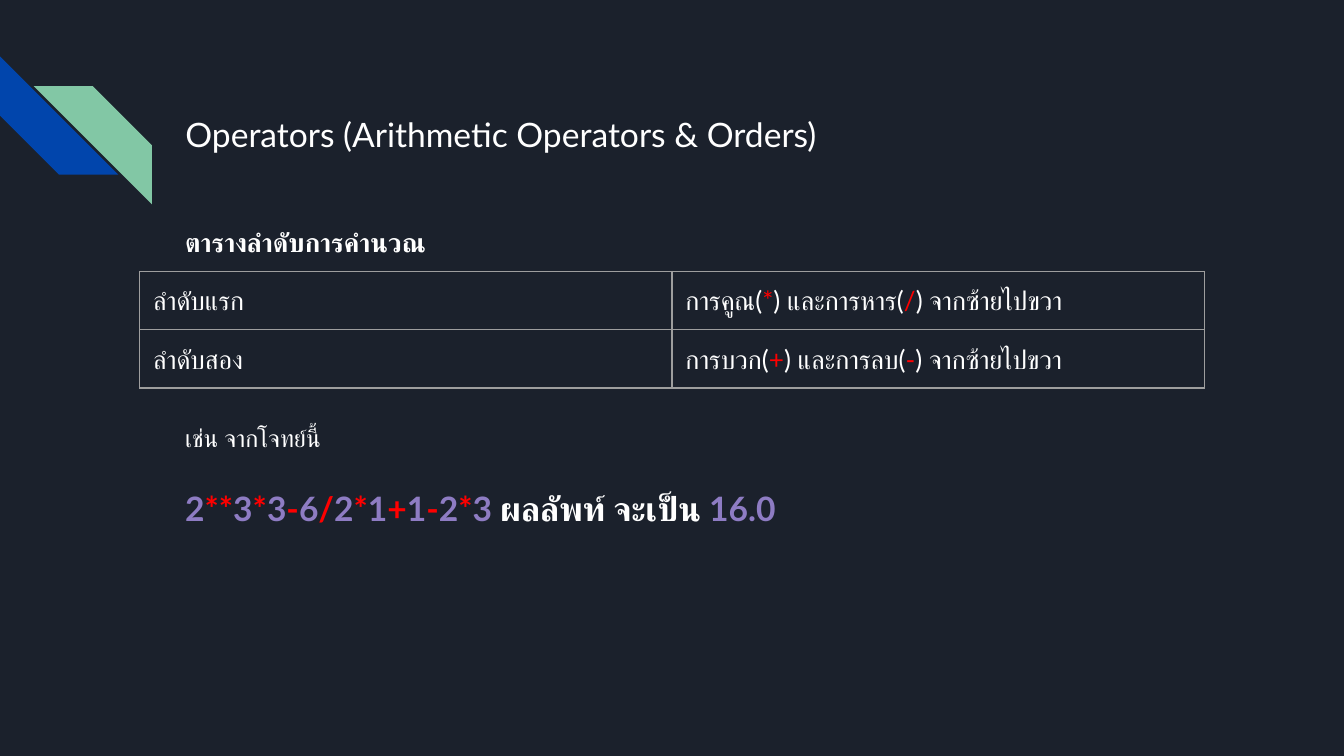
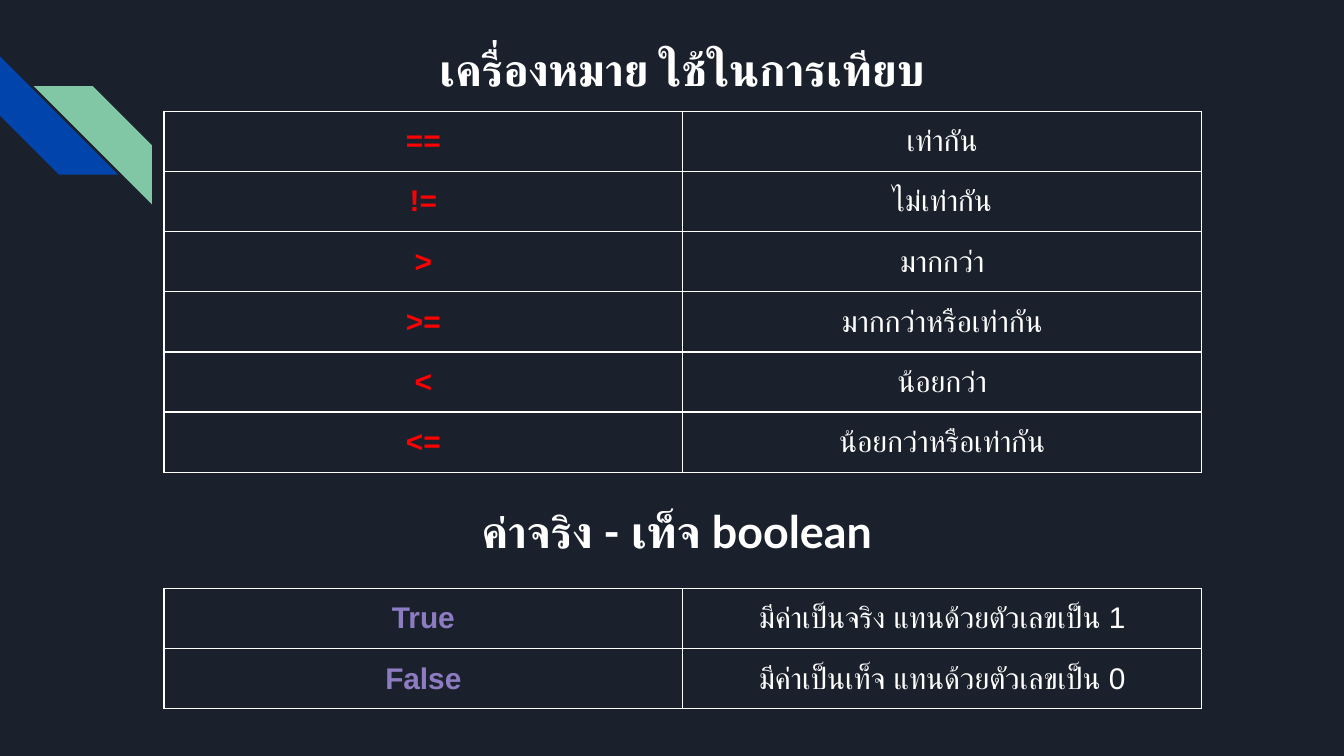
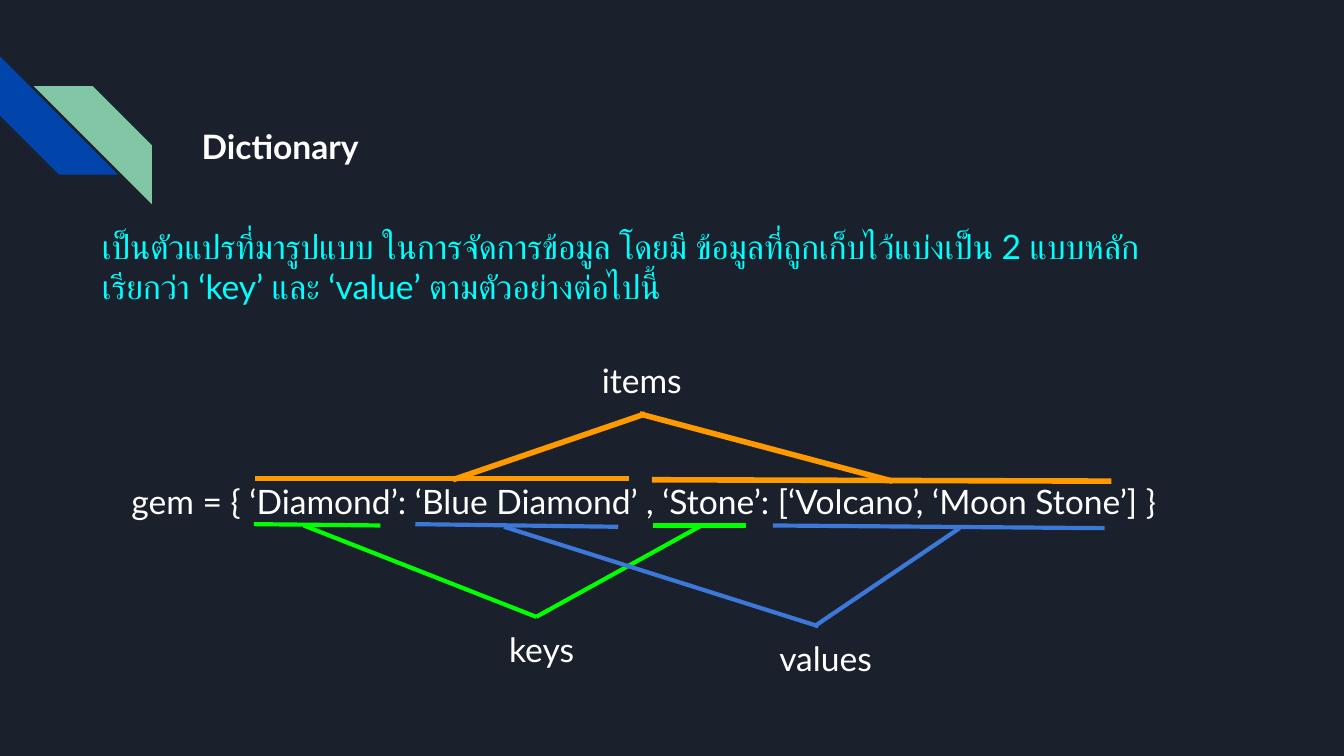
from itertools import groupby

from lxml import etree
from pptx import Presentation
from pptx.dml.color import RGBColor
from pptx.enum.shapes import MSO_CONNECTOR, MSO_SHAPE
from pptx.enum.text import MSO_ANCHOR, MSO_AUTO_SIZE, PP_ALIGN
from pptx.oxml.ns import qn
from pptx.util import Inches, Pt

LEFT, CENTER = PP_ALIGN.LEFT, PP_ALIGN.CENTER
TOP, MIDDLE = MSO_ANCHOR.TOP, MSO_ANCHOR.MIDDLE
STRAIGHT, STRIPE = MSO_CONNECTOR.STRAIGHT, MSO_SHAPE.DIAGONAL_STRIPE

NAVY, WHITE, GREY = "1B212C", "FFFFFF", "9E9E9E"
RED, PURPLE, CYAN = "FF0000", "8E7CC3", "00FFFF"
GREEN, BLUE, ORANGE = "00FF00", "3C78D8", "FF9900"

# Corner stripes: left, top, rotation, colour
STRIPES = [(0, 0.42, 270, "0145AC"), (0.25, 0.64, 90, "82C7A5")]
STRIPE_SIZE = 0.88

# Content: operator order
ORDER_TITLE = "Operators (Arithmetic Operators & Orders)"
ORDER_ROWS = [
    ("ลำดับแรก", "การคูณ(*) และการหาร(/) จากซ้ายไปขวา"),
    ("ลำดับสอง", "การบวก(+) และการลบ(-) จากซ้ายไปขวา"),
]
# text, top, format
ORDER_NOTES = [
    ("ตารางลำดับการคำนวณ", 1.55, {"size": 14, "bold": True}),
    ("เช่น จากโจทย์นี้", 3.01, {"size": 13}),
    ("2**3*3-6/2*1+1-2*3 ผลลัพท์ จะเป็น 16.0", 3.53, {"size": 18, "bold": True}),
]

# Content: comparison and boolean values
COMPARE_TITLE = "เครื่องหมาย ใช้ในการเทียบ"
COMPARE_ROWS = [
    ("==", "เท่ากัน"),
    ("!=", "ไม่เท่ากัน"),
    (">", "มากกว่า"),
    (">=", "มากกว่าหรือเท่ากัน"),
    ("<", "น้อยกว่า"),
    ("<=", "น้อยกว่าหรือเท่ากัน"),
]
BOOLEAN_TITLE = "ค่าจริง - เท็จ boolean"
BOOLEAN_ROWS = [
    ("True", "มีค่าเป็นจริง แทนด้วยตัวเลขเป็น 1"),
    ("False", "มีค่าเป็นเท็จ แทนด้วยตัวเลขเป็น 0"),
]

# Content: dictionary
DICT_TITLE = "Dictionary"
DICT_INTRO = [
    "เป็นตัวแปรที่มารูปแบบ ในการจัดการข้อมูล โดยมี ข้อมูลที่ถูกเก็บไว้แบ่งเป็น 2 แบบหลัก",
    "เรียกว่า ‘key’ และ ‘value’ ตามตัวอย่างต่อไปนี้",
]
DICT_CODE = "gem = { ‘Diamond’: ‘Blue Diamond’ , ‘Stone’: [‘Volcano’, ‘Moon Stone’] }"
# label, label box, colour, line width, lines (x1, y1, x2, y2)
DICT_PARTS = [
    ("keys", (3.69, 4.58, 0.84, 0.54), GREEN, 2.25, [
        (1.89, 3.9, 2.83, 3.91), (4.86, 3.91, 5.55, 3.91),
        (2.26, 3.91, 3.99, 4.59), (5.22, 3.91, 3.99, 4.59)]),
    ("values", (5.7, 4.65, 0.92, 0.5), BLUE, 2.25, [
        (3.09, 3.9, 4.6, 3.92), (5.75, 3.91, 8.22, 3.93),
        (3.75, 3.92, 6.09, 4.66), (7.14, 3.93, 6.06, 4.66)]),
    ("items", (4.38, 2.58, 0.84, 0.54), ORANGE, 3, [
        (1.9, 3.56, 4.68, 3.56), (4.85, 3.57, 8.27, 3.58),
        (3.37, 3.57, 4.8, 3.08), (4.76, 3.08, 6.64, 3.58)]),
]


def rgb(value):
    return RGBColor.from_string(value)


def math_color(char):
    if char in "*/+-":
        return RED
    return PURPLE if char in "0123456789." else WHITE


def math_runs(text):
    return [("".join(chars), color) for color, chars in groupby(text, math_color)]


def write(tf, lines, size=18, bold=False, font="Lato", align=LEFT):
    """Write lines, each a list of (text, colour) runs."""
    for i, runs in enumerate(lines):
        p = tf.paragraphs[0] if i == 0 else tf.add_paragraph()
        p.alignment = align
        for text, color in runs:
            r = p.add_run()
            r.text = text
            r.font.color.rgb = rgb(color)
            for name, value in {"size": Pt(size), "bold": bold, "name": font}.items():
                setattr(r.font, name, value)
            # Thai text takes the complex-script font
            etree.SubElement(r.font._element, qn("a:cs"), typeface=font)


def set_frame(tf, anchor):
    values = {"word_wrap": True, "auto_size": MSO_AUTO_SIZE.NONE, "vertical_anchor": anchor}
    for side in ("left", "top", "right", "bottom"):
        values["margin_" + side] = Inches(0.1)
    for name, value in values.items():
        setattr(tf, name, value)


def add_text(s, box, lines, anchor=TOP, **fmt):
    tf = s.shapes.add_textbox(*map(Inches, box)).text_frame
    set_frame(tf, anchor)
    write(tf, lines, **fmt)


def add_slide(prs, title, box, **fmt):
    s = prs.slides.add_slide(prs.slide_layouts[5])
    for left, top, rotation, color in STRIPES:
        sp = s.shapes.add_shape(STRIPE, *map(Inches, (left, top, STRIPE_SIZE, STRIPE_SIZE)))
        sp.rotation = rotation
        sp.shadow.inherit = False
        sp.fill.solid()
        sp.fill.fore_color.rgb = rgb(color)
        sp.line.fill.background()
    sp = s.shapes.title
    sp.left, sp.top, sp.width, sp.height = map(Inches, box)
    set_frame(sp.text_frame, TOP)
    write(sp.text_frame, [[(title, WHITE)]], **fmt)
    return s


def add_border(cell, color):
    tcPr = cell._tc.get_or_add_tcPr()
    for i, side in enumerate(("lnL", "lnR", "lnT", "lnB")):
        ln = etree.Element(qn("a:" + side), w=str(Pt(0.75)))
        fill = etree.SubElement(ln, qn("a:solidFill"))
        etree.SubElement(fill, qn("a:srgbClr"), val=color)
        tcPr.insert(i, ln)


def add_table(s, left, top, col_width, row_height, rows, border, formats):
    """Fill a two-column table; formats gives (runs function, text format) per column."""
    size = map(Inches, (left, top, 2 * col_width, row_height * len(rows)))
    table = s.shapes.add_table(len(rows), 2, *size).table
    table.first_row = table.horz_banding = False
    for y, row in enumerate(rows):
        for x, text in enumerate(row):
            cell = table.cell(y, x)
            for side in ("left", "top", "right", "bottom"):
                setattr(cell, "margin_" + side, Inches(0.1))
            cell.fill.background()
            add_border(cell, border)
            to_runs, fmt = formats[x]
            write(cell.text_frame, [to_runs(text)], **fmt)


def add_line(s, ends, color, width):
    c = s.shapes.add_connector(STRAIGHT, *map(Inches, ends))
    c.line.color.rgb = rgb(color)
    c.line.width = Pt(width)
    etree.SubElement(c.element.spPr, qn("a:effectLst"))


def order_slide(prs):
    s = add_slide(prs, ORDER_TITLE, (1.28, 0.75, 7.7, 0.61))
    for text, top, fmt in ORDER_NOTES:
        add_text(s, (1.28, top, 7.7, 0.5), [math_runs(text)], anchor=MIDDLE, **fmt)
    add_table(s, 1.04, 2.02, 3.96, 0.42, ORDER_ROWS, GREY, [(math_runs, {"size": 14})] * 2)


def compare_slide(prs):
    heading = {"size": 24, "bold": True, "align": CENTER}
    s = add_slide(prs, COMPARE_TITLE, (2.47, 0.21, 5.21, 0.5), **heading)
    add_text(s, (2.43, 3.65, 5.21, 0.5), [[(BOOLEAN_TITLE, WHITE)]], **heading)
    body = {"size": 16, "font": "Arial", "align": CENTER}
    for top, rows, color in ((0.83, COMPARE_ROWS, RED), (4.38, BOOLEAN_ROWS, PURPLE)):
        formats = [
            (lambda text, color=color: [(text, color)], {**body, "bold": True}),
            (lambda text: [(text, WHITE)], body),
        ]
        add_table(s, 1.22, top, 3.86, 0.43, rows, WHITE, formats)


def dictionary_slide(prs):
    s = add_slide(prs, DICT_TITLE, (1.4, 0.84, 7.7, 0.47), bold=True)
    for label, box, color, width, lines in DICT_PARTS:
        for ends in lines:
            add_line(s, ends, color, width)
        add_text(s, box, [[(label, WHITE)]])
    add_text(s, (0.88, 3.48, 8.31, 0.55), [[(DICT_CODE, WHITE)]])
    add_text(s, (0.66, 1.58, 8.81, 0.81), [[(line, CYAN)] for line in DICT_INTRO])


def main():
    prs = Presentation()
    # 16:9 page
    prs.slide_width, prs.slide_height = Inches(10), Inches(10 * 9 / 16)
    fill = prs.slide_master.background.fill
    fill.solid()
    fill.fore_color.rgb = rgb(NAVY)
    for build in (order_slide, compare_slide, dictionary_slide):
        build(prs)
    prs.save("out.pptx")


if __name__ == "__main__":
    main()
